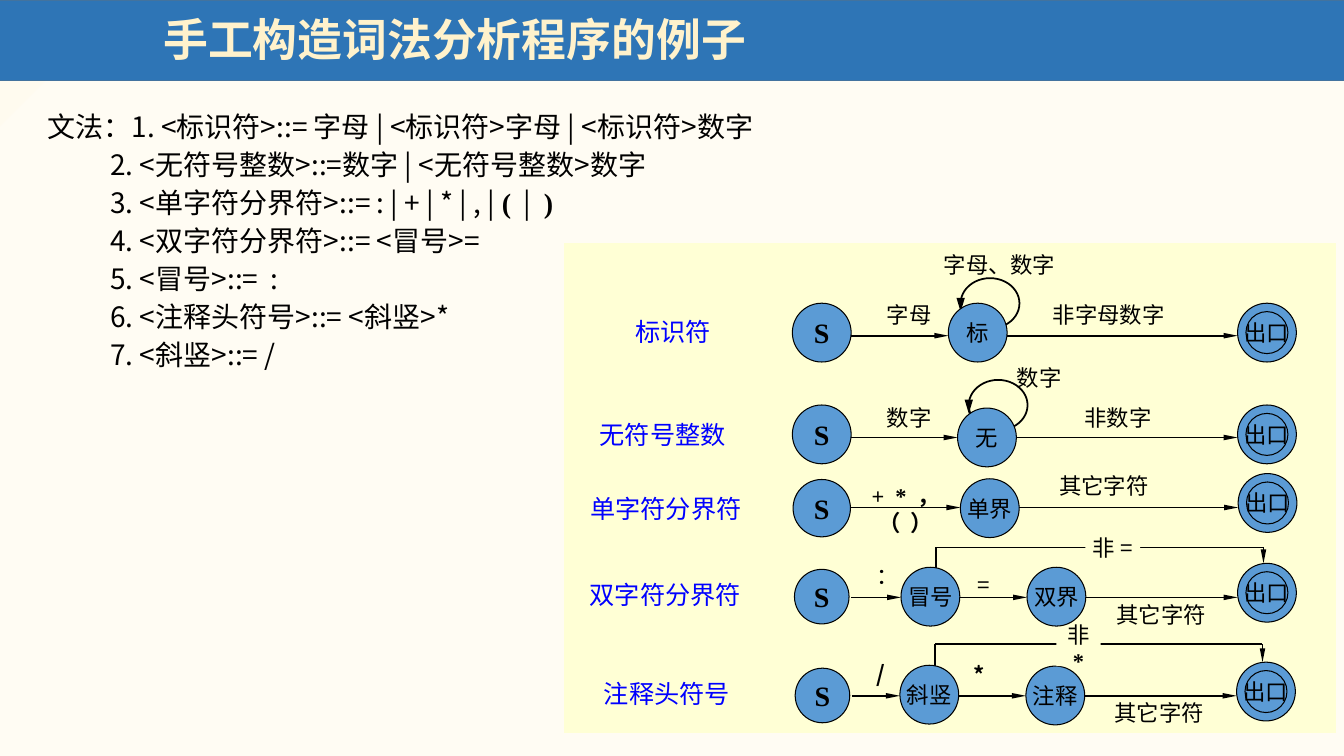
"""Build the slide on hand-writing a lexical analyser."""
from lxml.etree import SubElement
from pptx import Presentation
from pptx.dml.color import RGBColor
from pptx.enum.shapes import MSO_CONNECTOR, MSO_SHAPE
from pptx.enum.text import MSO_ANCHOR, MSO_AUTO_SIZE, PP_ALIGN
from pptx.oxml.ns import qn
from pptx.util import Pt

HUES = {"bar": "2E75B6", "edge": "43739E", "title": "FFF2CC", "panel": "FFFFD5",
        "node": "5B9BD5", "ink": "000000", "label": "0000FF",
        "paper": "FFFCF3", "cream": "FFFBEF"}
SANS, SERIF = "Noto Sans CJK SC", "Times New Roman"
DIAM, RING = 42, 30

TITLE = "手工构造词法分析程序的例子"
RULES = [
    "文法：1. <标识符>::= 字母 | <标识符>字母 | <标识符>数字",
    "2. <无符号整数>::=数字 | <无符号整数>数字",
    ["3. <单字符分界符>::= : | + | * | , | ", ("(", SERIF), "  |  ", (")", SERIF)],
    "4. <双字符分界符>::= <冒号>=",
    "5. <冒号>::=  :",
    "6. <注释头符号>::= <斜竖>*",
    "7. <斜竖>::= /",
]
ROWS = [
    {"label": ("标识符", 481, 237), "wire": 239.8, "start": (587, 237.6, 42),
     "nodes": [("标", 698.4, 237.6)], "exit": (905, 237.6), "loop": (686.2, 198.7),
     "marks": [("字母", 649.4, 225), ("字母、数字", 714, 189), ("非字母数字", 792, 225)]},
    {"label": ("无符号整数", 473.4, 310.3), "wire": 312.5, "start": (587, 310.3, 42),
     "nodes": [("无", 705, 312.5)], "exit": (905, 310.3), "loop": (692, 271.4),
     "marks": [("数字", 649.4, 298.4), ("数字", 742.3, 269.6), ("非数字", 798.5, 298.4)]},
    {"label": ("单字符分界符", 475.6, 363), "wire": 362.5, "start": (587, 363, 41),
     "nodes": [("单界", 707, 363)], "exit": (905.4, 359.3),
     "marks": [("其它字符", 788.4, 346.7)], "signs": (["+  *  ，", "（  ）"], 647, 363.6)},
    {"label": ("双字符分界符", 475.2, 424.8), "wire": 426.7, "start": (587, 426.2, 39),
     "nodes": [("冒号", 664.6, 426.2), ("双界", 754.6, 426.2)], "exit": (905, 423.4),
     "back": 391, "patch": (["非 ="], 775.4, 378, 39, 3),
     "marks": [("：", 634, 410.8), ("=", 702.4, 417.2), ("其它字符", 829.4, 438.8)]},
    {"label": ("注释头符号", 476.3, 495.4), "wire": 497, "start": (587.5, 496.8, 39),
     "nodes": [("斜竖", 663.8, 496.2), ("注释", 753.8, 496.8)], "exit": (904.3, 494),
     "back": 460.1, "patch": ([["非 ", ("*", SERIF)]], 754.6, 449.3, 31.7, 4),
     "marks": [("/", 629, 481.3), ("*", 699.5, 482), ("其它字符", 828, 508.7)]},
]


def rgb(key):
    return RGBColor.from_string(HUES[key])


def write(shape, lines, size=16, hue="ink", face=SANS, bold=False, wrap=False,
          align=PP_ALIGN.CENTER, anchor=MSO_ANCHOR.MIDDLE, pad=(0, 0), lead=None,
          before=0, hang=0):
    frame = shape.text_frame
    frame.auto_size = MSO_AUTO_SIZE.NONE
    frame.word_wrap, frame.vertical_anchor = wrap, anchor
    frame.margin_left = frame.margin_right = Pt(pad[0])
    frame.margin_top = frame.margin_bottom = Pt(pad[1])
    for i, line in enumerate(lines):
        para = frame.add_paragraph() if i else frame.paragraphs[0]
        para.alignment, para.space_before = align, Pt(before)
        if lead:
            para.line_spacing = lead
        props = para._p.get_or_add_pPr()
        props.set("marL", str(Pt(hang if i else 0)))
        props.set("indent", "0")
        SubElement(props, qn("a:buNone"))
        for part in [line] if isinstance(line, str) else line:
            words, font = (part, face) if isinstance(part, str) else part
            run = para.add_run()
            run.text = words
            run.font.size, run.font.name = Pt(size), font
            run.font.bold = bold or font == SERIF
            run.font.color.rgb = rgb(hue)
            SubElement(run._r.get_or_add_rPr(), qn("a:ea")).set("typeface", SANS)


def place(shape, *box):
    shape.left, shape.top, shape.width, shape.height = map(Pt, box)


def draw(kind, box, fill=None, line=None, weight=0.75):
    shape = art.shapes.add_shape(kind, *map(Pt, box))
    shape.shadow.inherit = False
    if fill:
        shape.fill.solid()
        shape.fill.fore_color.rgb = rgb(fill)
    else:
        shape.fill.background()
    if line:
        shape.line.color.rgb = rgb(line)
        shape.line.width = Pt(weight)
    else:
        shape.line.fill.background()
    return shape


def disc(x, y, size=DIAM, fill="node"):
    box = (x - size / 2, y - size / 2, size, size)
    return draw(MSO_SHAPE.OVAL, box, fill, "ink")


def wire(*ends, weight=1.25, head=None):
    link = art.shapes.add_connector(MSO_CONNECTOR.STRAIGHT, *map(Pt, ends))
    link.line.color.rgb, link.line.width = rgb("ink"), Pt(weight)
    if head:
        tip = SubElement(link.line._get_or_add_ln(), qn("a:tailEnd"))
        for key, value in (("type", "triangle"), ("w", head), ("len", "lg")):
            tip.set(key, value)
    SubElement(link._element.spPr, qn("a:effectLst"))


def note(lines, x, y, **form):
    wide, high = 110, 28 * len(lines)
    box = art.shapes.add_textbox(*map(Pt, (x - wide / 2, y - high / 2, wide, high)))
    write(box, lines, wrap=True, **form)


def chain(row):
    sx, sy, size = row["start"]
    ex, ey = row["exit"]
    stops = [sx, *(x for _, x, _ in row["nodes"]), ex]
    if "loop" in row:
        left, top = row["loop"]
        draw(MSO_SHAPE.OVAL, (left, top, DIAM, 36), None, "ink", 1.25)
        wire(left, top + 18, left, top + 24, weight=0.75, head="med")
    for a, b in zip(stops, stops[1:]):
        wire(a + DIAM / 2, row["wire"], b - DIAM / 2, row["wire"], head="sm")
    if "back" in row:
        _, x, y = row["nodes"][0]
        top, end = row["back"], ex - 2.5
        wire(x + 4, y - 18, x + 4, top)
        wire(x + 4, top, end, top)
        wire(end, top, end, ey - DIAM / 2, head="sm")
    write(disc(sx, sy, size), ["S"], size=20, face=SERIF)
    for text, x, y in row["nodes"]:
        write(disc(x, y), [text])
    write(disc(ex, ey), ["出口"])
    disc(ex, ey, RING, None)
    if "patch" in row:
        lines, left, top, wide, pad = row["patch"]
        patch = draw(MSO_SHAPE.RECTANGLE, (left, top, wide, 26.6), "panel")
        write(patch, lines, pad=(pad, 3.6), wrap=True)
    text, x, y = row["label"]
    note([text], x, y, size=18, hue="label")
    for text, x, y in row["marks"]:
        note([text], x, y, bold=text in "/*")
    if "signs" in row:
        note(*row["signs"], face=SERIF)


deck = Presentation()
deck.slide_width, deck.slide_height = Pt(960), Pt(540)
slide = deck.slides.add_slide(deck.slide_layouts[1])
back = slide.background.fill
back.gradient()
back.gradient_angle = 135
for stop, hue, spot in zip(back.gradient_stops, ("paper", "cream"), (0.88, 1)):
    stop.color.rgb, stop.position = rgb(hue), spot

title, body = slide.shapes.title, slide.placeholders[1]
place(title, 109.4, 0, 790, 59.8)
write(title, [TITLE], size=32, hue="title", bold=True, wrap=True,
      align=PP_ALIGN.LEFT, pad=(7.2, 3.6), lead=0.9)
place(body, 26.6, 77, 904.3, 417.6)
write(body, RULES, size=20, wrap=True, align=PP_ALIGN.LEFT, anchor=MSO_ANCHOR.TOP,
      pad=(7.2, 3.6), lead=0.9, before=5.6, hang=45)

art = slide.shapes.add_group_shape()
bar = draw(MSO_SHAPE.RECTANGLE, (-1.4, 0, 962, 57.6), "bar", "edge", 1)
slide.shapes._spTree.insert(2, bar._element)
draw(MSO_SHAPE.RECTANGLE, (403.2, 174.2, 550.8, 349.2), "panel", "panel")
for row in ROWS:
    chain(row)
deck.save("out.pptx")
